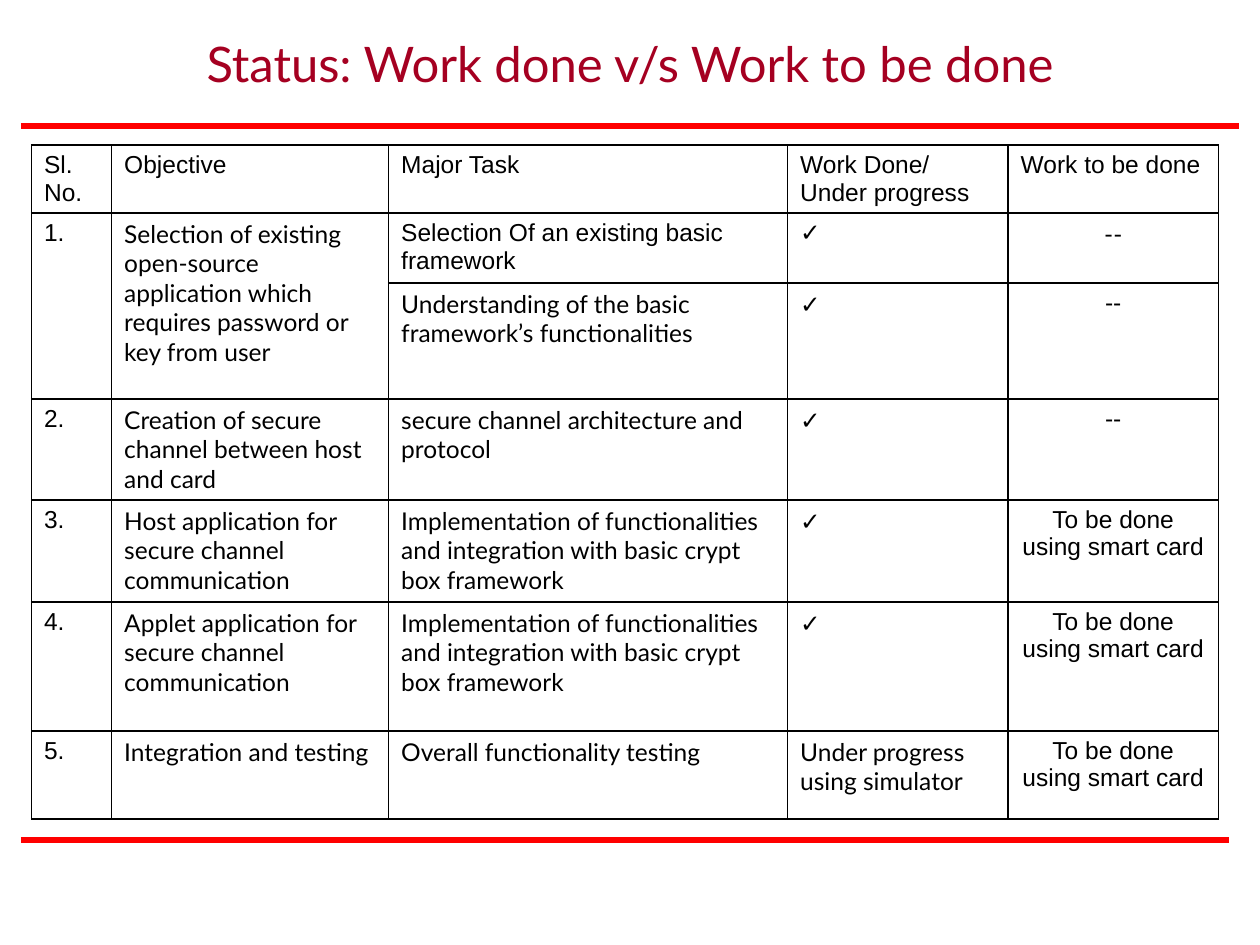
from dataclasses import dataclass

from lxml.etree import SubElement
from pptx import Presentation
from pptx.dml.color import RGBColor
from pptx.enum.shapes import MSO_CONNECTOR as Connector
from pptx.enum.text import MSO_ANCHOR as Anchor, PP_ALIGN as Align
from pptx.oxml.ns import qn
from pptx.util import Pt

RED = RGBColor(0xFF, 0x00, 0x00)
CRIMSON = RGBColor(0xA5, 0x00, 0x21)
BLACK = RGBColor(0x00, 0x00, 0x00)
SANS, LATO = "Arial", "Lato"
CHECK, NONE_LEFT, ON_CARD = "✓", "--", "To be done using smart card"
CRYPT_BOX = ("Implementation of functionalities and integration "
             "with basic crypt box framework")

HEADINGS = ["Sl. No.", "Objective", "Major Task",
            "Work Done/\vUnder progress", "Work to be done"]
COLUMN_WIDTHS = [45.8, 158.3, 228, 126, 120.2]
ROW_HEIGHTS = [38.9, 40, 66.3, 57.7, 58.3, 73.7, 50.3]


@dataclass
class Rule:
    y: float
    right: float
    left: float = 12


@dataclass
class Task:
    number: str
    objective: str
    task: str
    done: str
    remaining: str
    task_font: str = LATO
    done_font: str = LATO
    remaining_font: str = SANS


RULES = [Rule(y=480, right=702), Rule(y=72, right=708)]
TASKS = [
    Task("1.", "Selection of existing open-source application which requires "
         "password or key from user", "Selection Of an existing basic framework",
         CHECK, NONE_LEFT, task_font=SANS, done_font=SANS, remaining_font=LATO),
    # An empty number continues the objective above
    Task("", "", "Understanding of the basic framework’s functionalities",
         CHECK, NONE_LEFT),
    Task("2.", "Creation of secure channel between host and card",
         "secure channel architecture and protocol", CHECK, NONE_LEFT),
    Task("3.", "Host application for secure channel communication",
         CRYPT_BOX, CHECK, ON_CARD),
    Task("4.", "Applet application for secure channel communication",
         CRYPT_BOX, CHECK, ON_CARD),
    Task("5.", "Integration and testing", "Overall functionality testing",
         "Under progress using simulator", ON_CARD),
]


def write(frame, text: str, *, font: str = SANS, size: float = 14,
          color: RGBColor = BLACK, bold: bool = False,
          align: Align = Align.LEFT, hanging: float = 0) -> None:
    """Fill a text frame with one formatted paragraph."""
    frame.word_wrap = True
    para = frame.paragraphs[0]
    para.text = text
    para.alignment = align
    if hanging:
        properties = para._p.get_or_add_pPr()
        properties.set("marL", str(Pt(hanging)))
        properties.set("indent", str(-Pt(hanging)))
    for span in para.runs:
        span.font.name = font
        span.font.size = Pt(size)
        span.font.bold = bold
        span.font.color.rgb = color


def outline(cell, width: float = 1) -> None:
    """Give a cell clear fill and four black borders."""
    properties = cell._tc.get_or_add_tcPr()
    for side in ("a:lnL", "a:lnR", "a:lnT", "a:lnB"):
        border = SubElement(properties, qn(side), w=str(Pt(width)))
        fill = SubElement(border, qn("a:solidFill"))
        SubElement(fill, qn("a:srgbClr"), val=str(BLACK))
    cell.fill.background()


def draw_rule(page, rule: Rule) -> None:
    line = page.shapes.add_connector(
        Connector.STRAIGHT, Pt(rule.left), Pt(rule.y), Pt(rule.right), Pt(rule.y))
    line.line.color.rgb = RED
    line.line.width = Pt(3)
    SubElement(line._element.spPr, qn("a:effectLst"))


def draw_task(table, row: int, task: Task) -> None:
    if task.number:
        write(table.cell(row, 0).text_frame, task.number, hanging=27)
        write(table.cell(row, 1).text_frame, task.objective, font=LATO)
    else:
        for column in (0, 1):
            table.cell(row - 1, column).merge(table.cell(row, column))
    write(table.cell(row, 2).text_frame, task.task, font=task.task_font)
    write(table.cell(row, 3).text_frame, task.done, font=task.done_font,
          bold=task.done == CHECK)
    write(table.cell(row, 4).text_frame, task.remaining,
          font=task.remaining_font, align=Align.CENTER)


def draw_table(page) -> None:
    table = page.shapes.add_table(
        len(ROW_HEIGHTS), len(COLUMN_WIDTHS), Pt(18), Pt(82.8),
        Pt(sum(COLUMN_WIDTHS)), Pt(sum(ROW_HEIGHTS))).table
    table.first_row = table.horz_banding = False
    for column, width in zip(table.columns, COLUMN_WIDTHS):
        column.width = Pt(width)
    for row, height in zip(table.rows, ROW_HEIGHTS):
        row.height = Pt(height)
    for cell in table.iter_cells():
        outline(cell)
    for column, heading in enumerate(HEADINGS):
        write(table.cell(0, column).text_frame, heading)
    for row, task in enumerate(TASKS, start=1):
        draw_task(table, row, task)


def main() -> None:
    deck = Presentation()
    deck.slide_width, deck.slide_height = Pt(720), Pt(540)
    page = deck.slides.add_slide(deck.slide_layouts[5])

    # Red rules above and below the table
    for rule in RULES:
        draw_rule(page, rule)

    # Status table
    draw_table(page)

    # Title
    title = page.shapes.title
    title.left, title.top, title.width, title.height = (
        Pt(54), Pt(12), Pt(612), Pt(48))
    title.text_frame.vertical_anchor = Anchor.MIDDLE
    write(title.text_frame, "Status: Work done v/s Work to be done",
          font=LATO, size=28, color=CRIMSON, align=Align.CENTER)

    deck.save("out.pptx")


if __name__ == "__main__":
    main()
